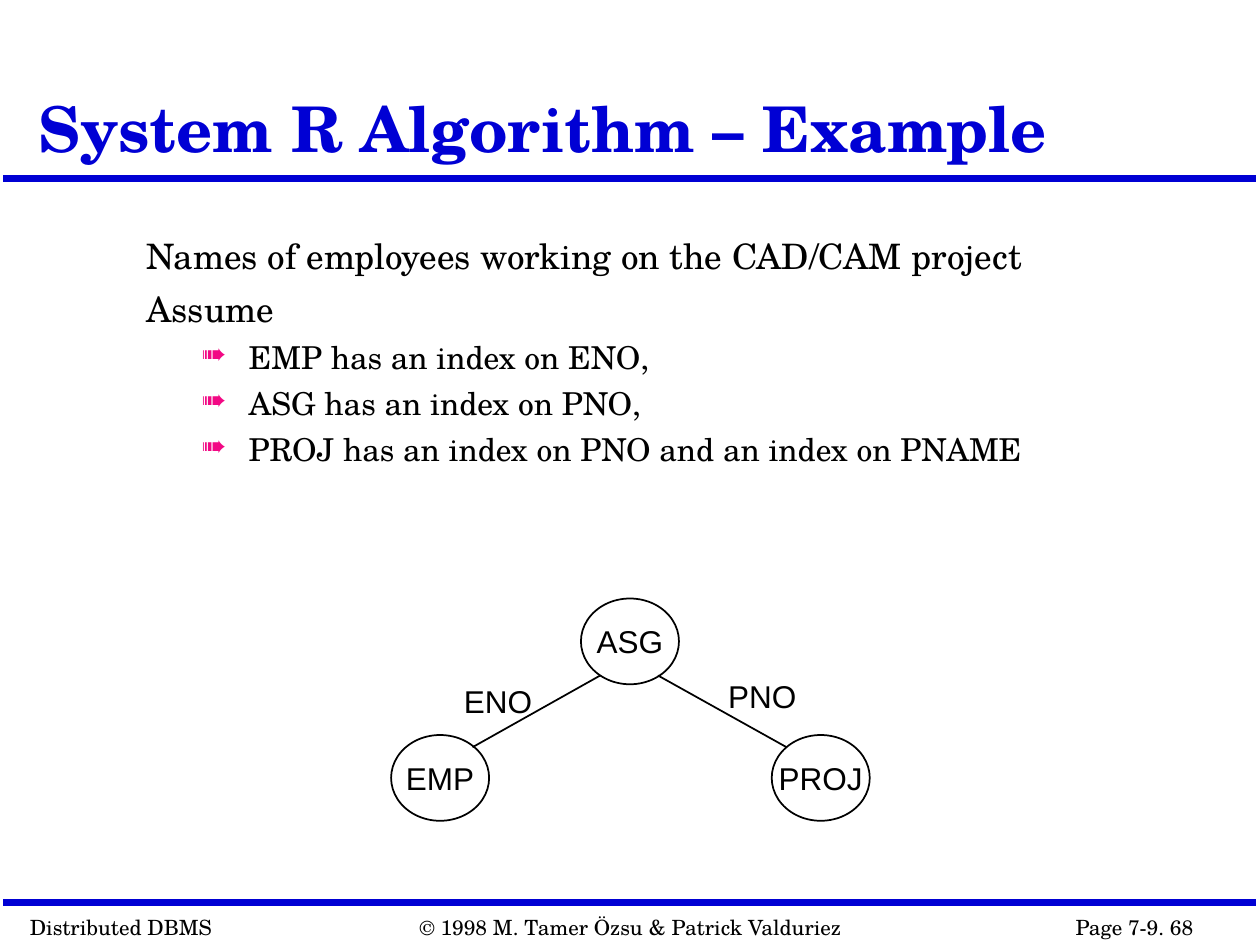
from lxml.etree import SubElement
from pptx import Presentation
from pptx.dml.color import RGBColor
from pptx.enum.shapes import MSO_CONNECTOR, MSO_SHAPE
from pptx.enum.text import MSO_ANCHOR, MSO_AUTO_SIZE, PP_ALIGN
from pptx.oxml.ns import qn
from pptx.util import Pt

BLUE = RGBColor(0x00, 0x00, 0xD4)
BLACK = RGBColor(0x00, 0x00, 0x00)
PINK = RGBColor(0xF2, 0x08, 0x84)
SERIF = "TeX Gyre Schola"
SANS = "Arial"

NODE_WIDTH, NODE_HEIGHT = 56, 49


def add_run(paragraph, text, size, font=SERIF, color=BLACK, bold=False):
    run = paragraph.add_run()
    run.text = text
    run.font.size = Pt(size)
    run.font.name = font
    run.font.color.rgb = color
    run.font.bold = bold


def add_box(slide, left, top, width, height):
    shape = slide.shapes.add_textbox(Pt(left), Pt(top), Pt(width), Pt(height))
    shape.text_frame.word_wrap = True
    return shape.text_frame


def add_label(slide, text, left, top, width, size, font):
    """One line of text in a box that fits it."""
    frame = add_box(slide, left, top, width, size * 1.2 + 7.2)
    frame.word_wrap = False
    frame.auto_size = MSO_AUTO_SIZE.SHAPE_TO_FIT_TEXT
    add_run(frame.paragraphs[0], text, size, font)


def add_line(slide, start, end, color, width):
    line = slide.shapes.add_connector(
        MSO_CONNECTOR.STRAIGHT, *(Pt(value) for value in (*start, *end)))
    line.line.color.rgb = color
    line.line.width = Pt(width)
    SubElement(line._element.spPr, qn("a:effectLst"))


def add_node(slide, name, left, top):
    node = slide.shapes.add_shape(
        MSO_SHAPE.OVAL, Pt(left), Pt(top), Pt(NODE_WIDTH), Pt(NODE_HEIGHT))
    node.shadow.inherit = False
    node.fill.background()
    node.line.color.rgb = BLACK
    node.line.width = Pt(1)
    frame = node.text_frame
    frame.word_wrap = False
    frame.vertical_anchor = MSO_ANCHOR.MIDDLE
    frame.margin_left = frame.margin_right = 0
    frame.margin_top = frame.margin_bottom = 0
    paragraph = frame.paragraphs[0]
    paragraph.alignment = PP_ALIGN.CENTER
    add_run(paragraph, name, 18, SANS)


def set_indent(paragraph, left, hanging):
    properties = paragraph._p.get_or_add_pPr()
    properties.set("marL", str(Pt(left)))
    properties.set("indent", str(-Pt(hanging)))
    return properties


def add_bullet(paragraph):
    properties = set_indent(paragraph, 58.5, 27)
    color = SubElement(properties, qn("a:buClr"))
    SubElement(color, qn("a:srgbClr"), val=str(PINK))
    SubElement(properties, qn("a:buSzPct"), val="95000")
    SubElement(properties, qn("a:buChar"), char="➠")


def add_title(slide):
    frame = add_box(slide, 15, 8.5, 636, 90)
    frame.vertical_anchor = MSO_ANCHOR.BOTTOM
    paragraph = frame.paragraphs[0]
    paragraph.line_spacing = 0.9
    add_run(paragraph, "System R Algorithm – Example", 36, color=BLUE, bold=True)


def add_body(slide):
    frame = add_box(slide, 76.5, 126, 564, 180)
    query = frame.paragraphs[0]
    set_indent(query, 22.5, 22.5)
    add_run(query, "Names of employees working on the CAD/CAM project", 20)
    add_run(query, " ", 28)  # sets the height of the first line

    assumption = frame.add_paragraph()
    set_indent(assumption, 22.5, 22.5)
    assumption.space_before = Pt(7.5)
    add_run(assumption, "Assume", 20)

    for text in ("EMP has an index on ENO,",
                 "ASG has an index on PNO,",
                 "PROJ has an index on PNO and an index on PNAME"):
        paragraph = frame.add_paragraph()
        add_bullet(paragraph)
        paragraph.space_before = Pt(6.75)
        add_run(paragraph, text, 18)

    for paragraph in frame.paragraphs:
        paragraph.line_spacing = 0.9


def add_join_graph(slide):
    # Join attributes
    add_label(slide, "PNO", 409, 383.5, 56, 18, SANS)
    add_label(slide, "ENO", 258, 386, 56, 18, SANS)
    # Relations
    for name, left, top in (("ASG", 332, 342),
                            ("EMP", 223.5, 420),
                            ("PROJ", 441, 420)):
        add_node(slide, name, left, top)
    # Joins
    add_line(slide, (449.5, 427), (376, 386), BLACK, 1)
    add_line(slide, (270, 427), (343, 386), BLACK, 1)


def main():
    presentation = Presentation()
    presentation.slide_width = Pt(720)
    presentation.slide_height = Pt(540)
    slide = presentation.slides.add_slide(presentation.slide_layouts[6])

    # Rules and footer
    for y in (102, 516):
        add_line(slide, (2, y), (718, y), BLUE, 4)
    for text, left, width in (
            ("Distributed DBMS", 10, 121),
            ("Page 7-9. 68", 607.5, 84),
            ("© 1998 M. Tamer Özsu & Patrick Valduriez", 232.5, 259)):
        add_label(slide, text, left, 519, width, 12, SERIF)

    add_body(slide)
    add_title(slide)
    add_join_graph(slide)
    presentation.save("out.pptx")


if __name__ == "__main__":
    main()
